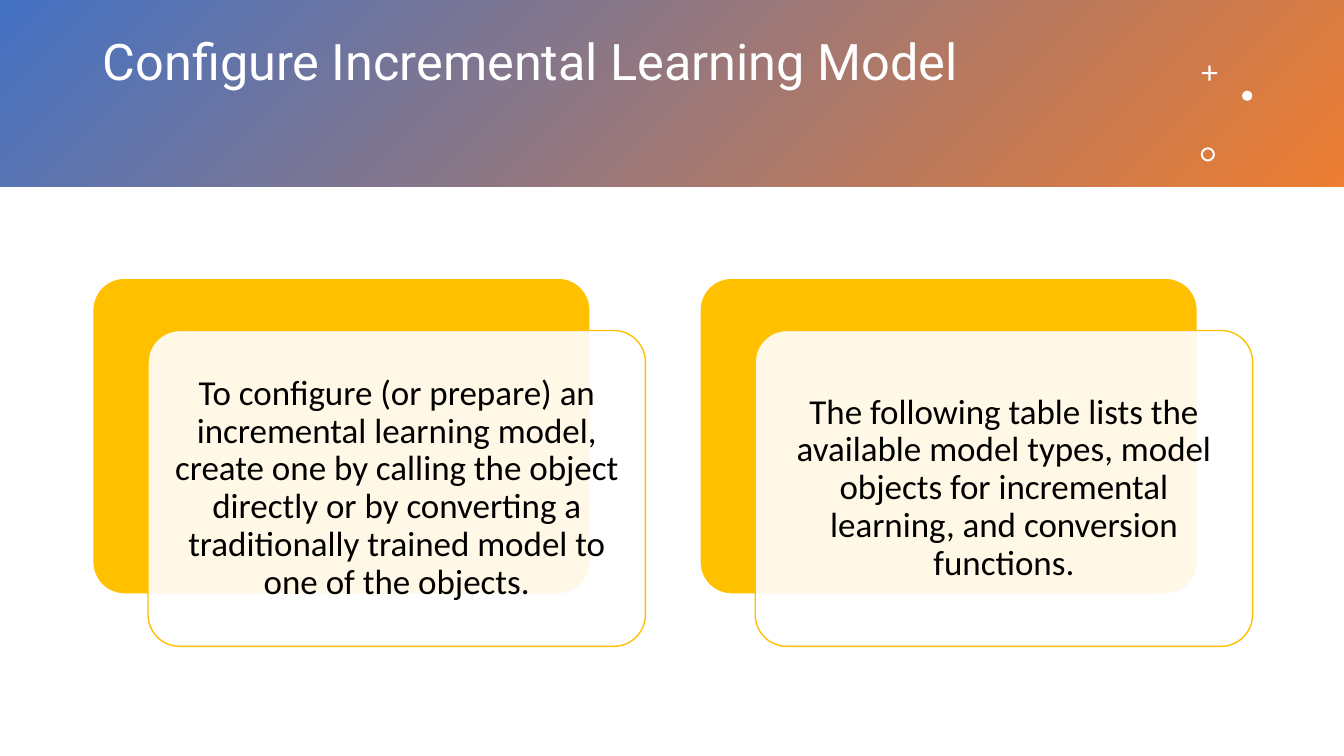
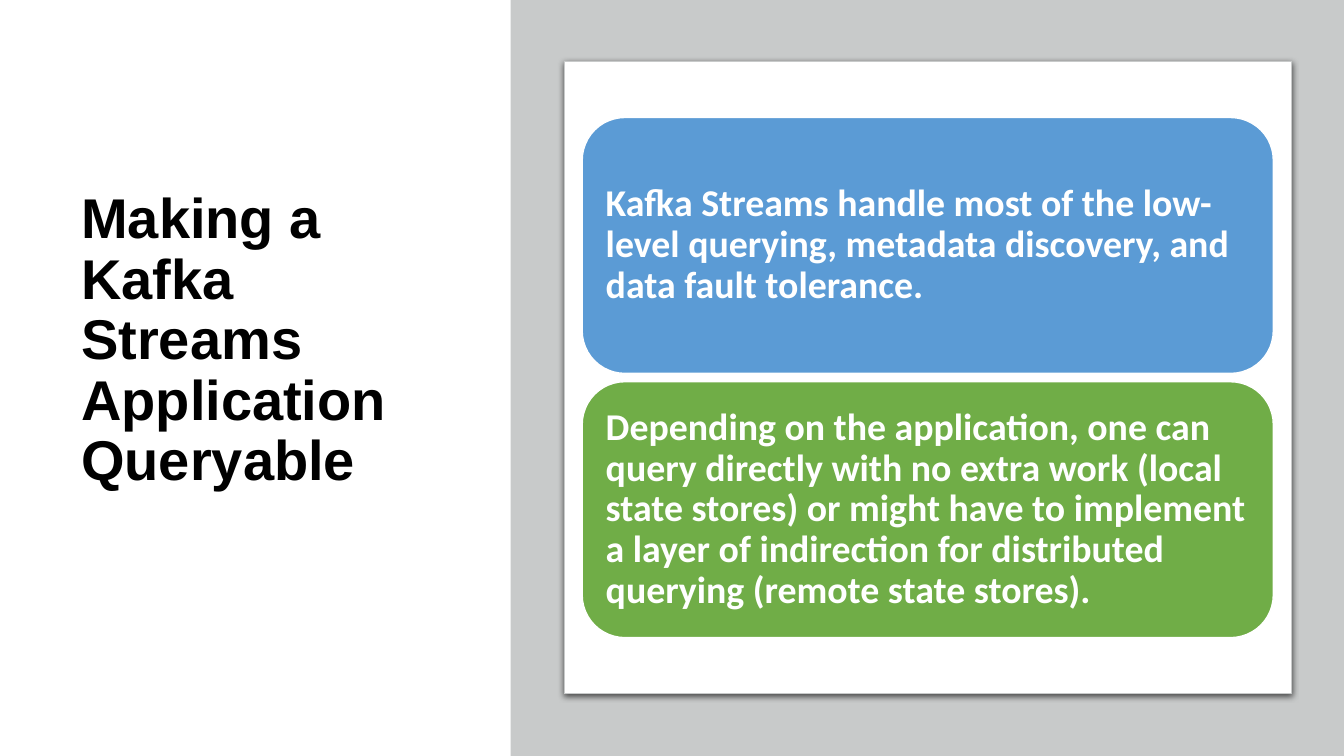
from collections import namedtuple

from lxml.etree import SubElement
from pptx import Presentation
from pptx.dml.color import RGBColor
from pptx.enum.shapes import MSO_SHAPE as Preset
from pptx.enum.text import MSO_ANCHOR as Anchor, MSO_AUTO_SIZE as AutoSize, PP_ALIGN as Align
from pptx.oxml.ns import qn
from pptx.util import Inches, Pt

WHITE, BLACK, GREY = "FFFFFF", "000000", "C8CACA"
BLUE, ORANGE, GOLD = "4472C4", "ED7D31", "FFC000"
SKY, GREEN = "5B9BD5", "70AD47"
BODY_FONT = "Calibri"
TITLE_ONLY = 5


class Box(namedtuple("Box", "left top width height")):
    def share(self, left, top, width, height):
        return Box(
            self.left + self.width * left / 100,
            self.top + self.height * top / 100,
            self.width * width / 100,
            self.height * height / 100,
        )

    def divide(self, count, gap, across):
        size = (100 - gap * (count - 1)) / count
        starts = [index * (size + gap) for index in range(count)]
        if across:
            return [self.share(start, 0, size, 100) for start in starts]
        return [self.share(0, start, 100, size) for start in starts]

    def lengths(self):
        return [Inches(value) for value in self]


SLIDE = Box(0, 0, 13.33, 7.5)


def rgb(color):
    return RGBColor.from_string(color)


def add_block(slide, preset, box, fill, line=None, line_width=1, corner=None):
    shape = slide.shapes.add_shape(preset, *box.lengths())
    shape.shadow.inherit = False
    shape.fill.solid()
    shape.fill.fore_color.rgb = rgb(fill)
    if line:
        shape.line.color.rgb = rgb(line)
        shape.line.width = Pt(line_width)
    else:
        shape.line.fill.background()
    if corner is not None:
        shape.adjustments[0] = corner
    return shape


def write_text(shape, text, font, size, color, bold=False, align=Align.LEFT, inset=(0.1, 0.05)):
    frame = shape.text_frame
    frame.word_wrap = True
    frame.auto_size = AutoSize.NONE
    frame.vertical_anchor = Anchor.MIDDLE
    frame.margin_left = frame.margin_right = Inches(inset[0])
    frame.margin_top = frame.margin_bottom = Inches(inset[1])
    paragraph = frame.paragraphs[0]
    paragraph.alignment = align
    paragraph.line_spacing = 0.9
    run = paragraph.add_run()
    run.text = text
    run.font.name = font
    run.font.size = Pt(size)
    run.font.bold = bold
    run.font.color.rgb = rgb(color)


def add_titled_slide(presentation, box, text, font, size, color, bold=False):
    slide = presentation.slides.add_slide(presentation.slide_layouts[TITLE_ONLY])
    title = slide.shapes.title
    title.left, title.top, title.width, title.height = box.lengths()
    write_text(title, text, font, size, color, bold)
    return slide


def set_opacity(shape, percent):
    color = shape.element.spPr.find(qn("a:solidFill"))[0]
    SubElement(color, qn("a:alpha"), val=str(percent * 1000))


def add_drop_shadow(shape, color, opacity, blur, distance):
    effects = shape.element.spPr.find(qn("a:effectLst"))
    shadow = SubElement(
        effects, qn("a:outerShdw"),
        blurRad=str(int(Pt(blur))), dist=str(int(Pt(distance))), dir="5400000", rotWithShape="0",
    )
    tone = SubElement(shadow, qn("a:srgbClr"), val=color)
    SubElement(tone, qn("a:alpha"), val=str(opacity * 1000))


def add_gradient_band(slide, box):
    band = add_block(slide, Preset.RECTANGLE, box, BLUE)
    band.fill.gradient()
    band.fill.gradient_angle = 315
    for stop, color in zip(band.fill.gradient_stops, (BLUE, ORANGE)):
        stop.color.rgb = rgb(color)
    slide.shapes.title.element.addprevious(band.element)
    ornaments = [
        (Preset.CROSS, (89.42, 35.1, 1.13, 8.1), 0.43),
        (Preset.OVAL, (92.42, 48.6, 0.75, 5.4), None),
        (Preset.DONUT, (89.35, 78.9, 1.05, 7.6), 0.14),
    ]
    for preset, place, thickness in ornaments:
        add_block(slide, preset, box.share(*place), WHITE, corner=thickness)


def add_layered_card(slide, box, text):
    add_block(slide, Preset.ROUNDED_RECTANGLE, box.share(0, 0, 90, 85.8), GOLD, WHITE, corner=0.1)
    front = add_block(
        slide, Preset.ROUNDED_RECTANGLE, box.share(10, 14.2, 90, 85.8), WHITE, GOLD, corner=0.1
    )
    set_opacity(front, 90)
    write_text(front, text, BODY_FONT, 25, BLACK, align=Align.CENTER, inset=(0.1, 0.1))


def add_side_panel(slide, box, messages):
    add_block(slide, Preset.RECTANGLE, box, GREY)
    frame_box = box.share(6.4, 8.1, 87.3, 83.7)
    frame = add_block(slide, Preset.RECTANGLE, frame_box, WHITE, GREY, 0.75)
    add_drop_shadow(frame, BLACK, 63, 4.5, 1.5)
    rows = frame_box.share(2.5, 8.9, 95, 82.2).divide(len(messages), 1.6, across=False)
    for row, (color, text) in zip(rows, messages):
        block = add_block(slide, Preset.ROUNDED_RECTANGLE, row, color, WHITE)
        write_text(block, text, BODY_FONT, 27, WHITE, bold=True, inset=(0.11, 0.11))


def build_card_slide(presentation):
    slide = add_titled_slide(
        presentation, SLIDE.share(6.9, 4.4, 80.6, 8.3),
        "Configure Incremental Learning Model", "Roboto", 36, WHITE,
    )
    add_gradient_band(slide, SLIDE.share(0, 0, 100, 24.7))
    texts = [
        "To configure (or prepare) an incremental learning model, create one by calling "
        "the object directly or by converting a traditionally trained model to one of the objects.",
        "The following table lists the available model types, model objects for incremental "
        "learning, and conversion functions.",
    ]
    columns = SLIDE.share(6.9, 36.8, 86.3, 48.7).divide(len(texts), 4.7, across=True)
    for column, text in zip(columns, texts):
        add_layered_card(slide, column, text)


def build_panel_slide(presentation):
    slide = add_titled_slide(
        presentation, SLIDE.share(5.3, 9.2, 30.1, 72),
        "Making a Kafka Streams Application Queryable", "Arial", 40, BLACK, bold=True,
    )
    add_side_panel(slide, SLIDE.share(38, 0, 62, 100), [
        (SKY, "Kafka Streams handle most of the low-level querying, metadata discovery, "
              "and data fault tolerance."),
        (GREEN, "Depending on the application, one can query directly with no extra work "
                "(local state stores) or might have to implement a layer of indirection for "
                "distributed querying (remote state stores)."),
    ])


def main():
    presentation = Presentation()
    presentation.slide_width = Inches(SLIDE.width)
    presentation.slide_height = Inches(SLIDE.height)
    build_card_slide(presentation)
    build_panel_slide(presentation)
    presentation.save("out.pptx")


if __name__ == "__main__":
    main()
